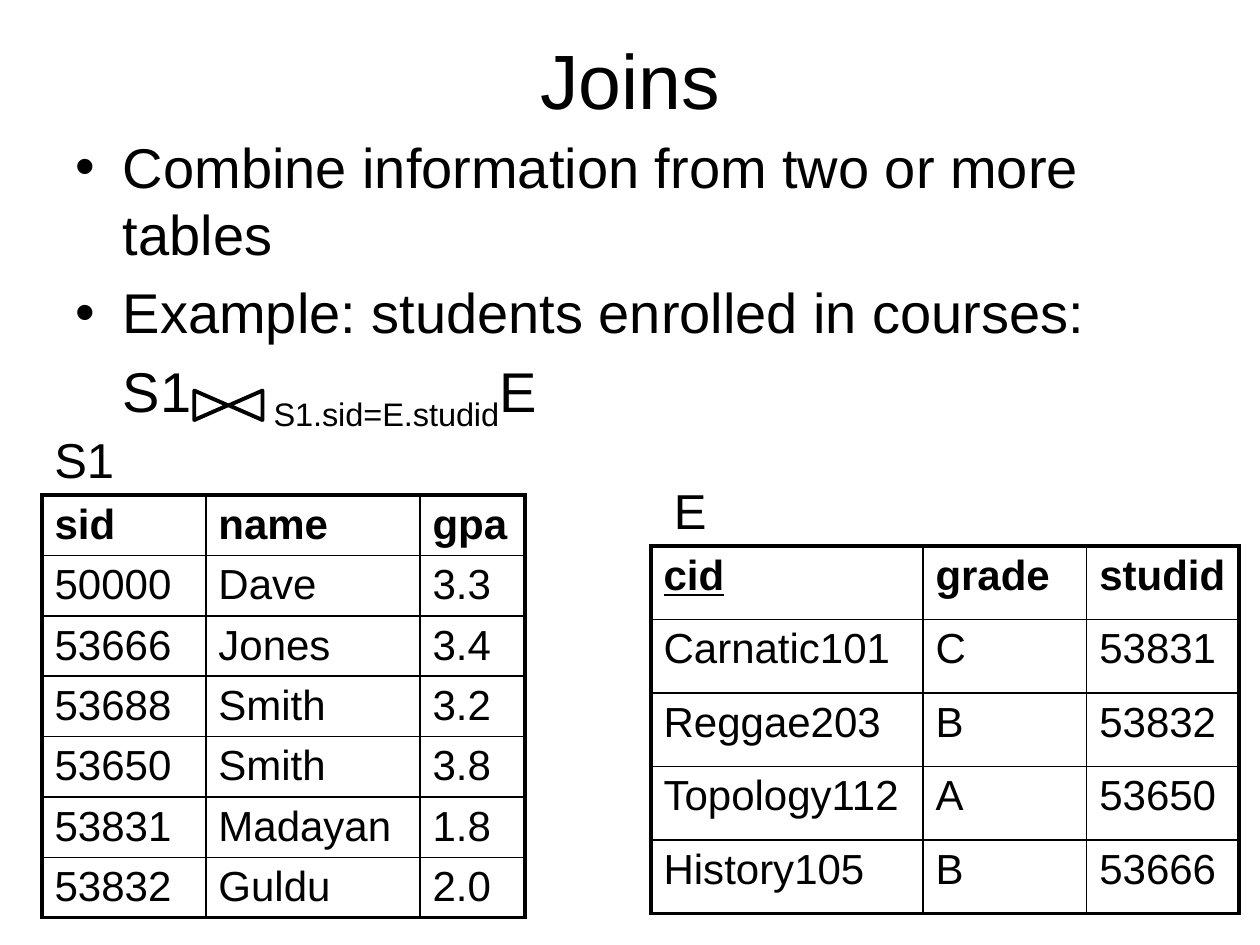
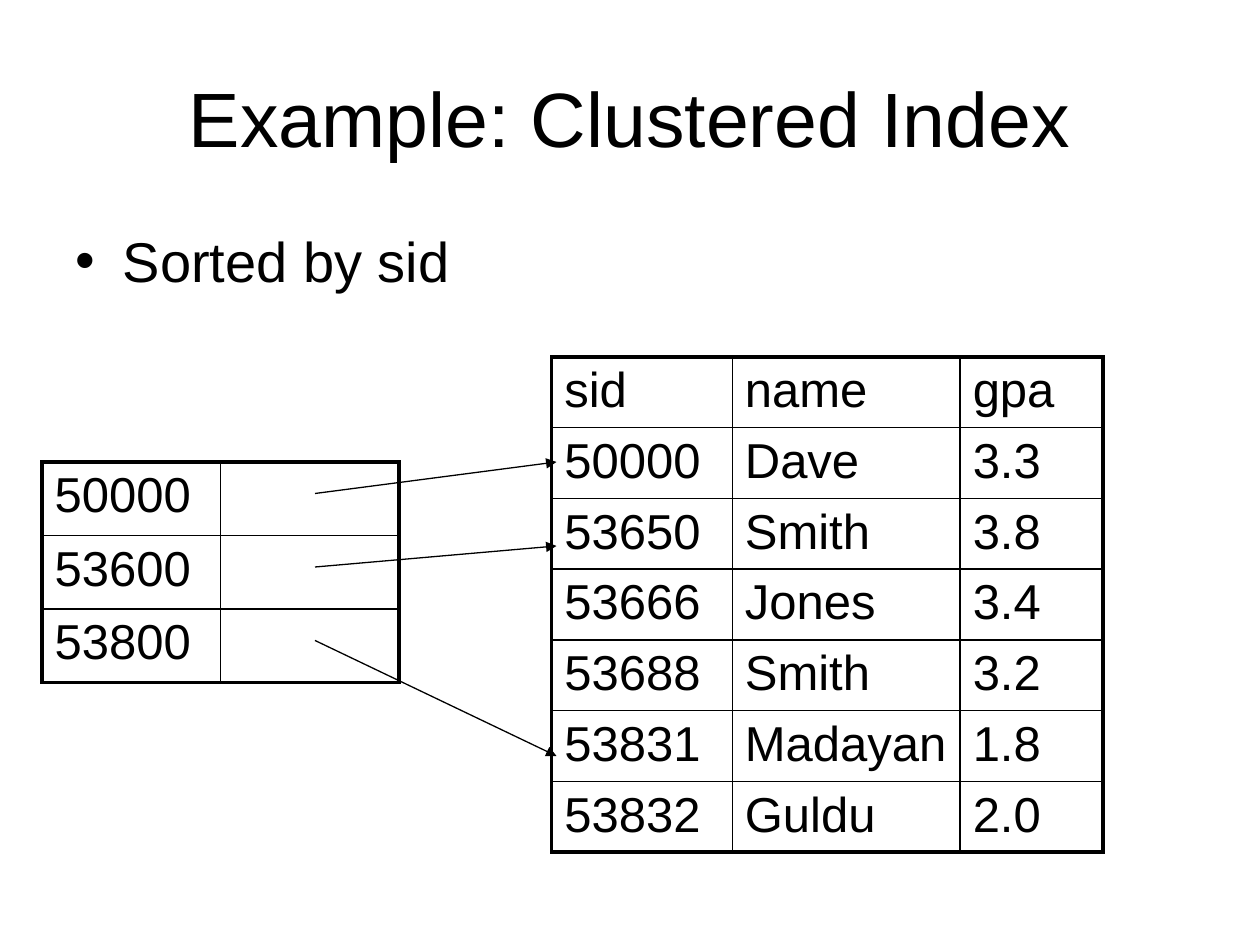
import pptx
import pptx.util
import pptx.dml.color
import pptx.enum.shapes
import pptx.enum.text
import pptx.oxml.ns
from lxml import etree

INK = pptx.dml.color.RGBColor(0x00, 0x00, 0x00)
FONT = "Arial"
TITLE_SIZE, BODY_SIZE, LABEL_SIZE = 44, 32, 28
FRAME, RULE = 2.25, 1  # table line widths in points

deck = pptx.Presentation()
deck.slide_width = pptx.util.Inches(10)
deck.slide_height = pptx.util.Inches(7.5)
UNIT = deck.slide_width / 120  # the slide is a grid of 120 columns by 90 rows
qn = pptx.oxml.ns.qn


def format_text(frame, size, bold=False):
    for paragraph in frame.paragraphs:
        for run in paragraph.runs:
            run.font.name = FONT
            run.font.size = pptx.util.Pt(size)
            run.font.bold = bold
            run.font.color.rgb = INK


def add_records(slide, left, top, columns, row_height, records, size, bold_header=False):
    last_row, last_column = len(records) - 1, len(columns) - 1
    box = [int(n * UNIT) for n in (left, top, sum(columns), row_height * len(records))]
    table = slide.shapes.add_table(len(records), len(columns), *box).table
    table.first_row = table.horz_banding = False
    for column, width in zip(table.columns, columns):
        column.width = int(width * UNIT)
    for r, record in enumerate(records):
        table.rows[r].height = int(row_height * UNIT)
        for c, value in enumerate(record):
            cell = table.cell(r, c)
            cell.text_frame.text = value
            format_text(cell.text_frame, size, bold_header and r == 0)
            cell.fill.background()
            # Thick line on the outer frame, thin line inside
            on_frame = {"L": c == 0, "R": c == last_column, "T": r == 0, "B": r == last_row}
            for place, (side, outer) in enumerate(on_frame.items()):
                width = pptx.util.Pt(FRAME if outer else RULE)
                border = etree.Element(qn("a:ln" + side), w=str(int(width)))
                fill = etree.SubElement(border, qn("a:solidFill"))
                etree.SubElement(fill, qn("a:srgbClr"), val=str(INK))
                cell._tc.get_or_add_tcPr().insert(place, border)
    return table


# Titles and bullet lists of both slides
outline = [
    ("Joins", 0, 12, 34, ["Combine information from two or more tables",
                          "Example: students enrolled in courses:"]),
    ("Example: Clustered Index", 3.6, 21, 59.4, ["Sorted by sid"]),
]
slides = []
for heading, title_top, body_top, body_height, points in outline:
    slide = deck.slides.add_slide(deck.slide_layouts[1])
    title, body = slide.placeholders
    title.text_frame.text = heading
    body.text_frame.text = "\n".join(points)
    for holder, top, height, size in ((title, title_top, 15, TITLE_SIZE),
                                      (body, body_top, body_height, BODY_SIZE)):
        holder.left, holder.top = int(6 * UNIT), int(top * UNIT)
        holder.width, holder.height = int(108 * UNIT), int(height * UNIT)
        holder.text_frame.auto_size = pptx.enum.text.MSO_AUTO_SIZE.NONE
        format_text(holder.text_frame, size)
    body.text_frame.paragraphs[0].space_before = pptx.util.Pt(0)
    slides.append(slide)
joins, clustered = slides

# Joins: the expression, with one widened space that holds the join sign
body_frame = joins.placeholders[1].text_frame
expression = body_frame.add_paragraph()
settings = expression._p.get_or_add_pPr()
settings.set("marL", str(int(4.5 * UNIT)))
settings.set("indent", "0")
etree.SubElement(settings, qn("a:buNone"))
for part in ("S1", " ", "S1.sid=E.studid", "E"):
    expression.add_run().text = part
format_text(body_frame, BODY_SIZE)
expression.runs[1].font._element.set("spc", "3800")
expression.runs[2].font._element.set("baseline", "-25000")

# Joins: the join sign, two triangles tip to tip
join_sign = joins.shapes.add_group_shape()
for left, turn in ((18.7, 90), (22, 270)):
    triangle = join_sign.shapes.add_shape(
        pptx.enum.shapes.MSO_SHAPE.ISOSCELES_TRIANGLE,
        *[int(n * UNIT) for n in (left, 37, 2.8, 3.2)])
    triangle.rotation = turn
    triangle.shadow.inherit = False
    triangle.fill.background()
    triangle.line.color.rgb = INK
    triangle.line.width = pptx.util.Pt(FRAME)

# Joins: the two tables
header = ("sid", "name", "gpa")
dave, jones = ("50000", "Dave", "3.3"), ("53666", "Jones", "3.4")
smith_b, smith_a = ("53688", "Smith", "3.2"), ("53650", "Smith", "3.8")
madayan, guldu = ("53831", "Madayan", "1.8"), ("53832", "Guldu", "2.0")
students = [dave, jones, smith_b, smith_a, madayan, guldu]
enrolled = [
    ("cid", "grade", "studid"),
    ("Carnatic101", "C", "53831"),
    ("Reggae203", "B", "53832"),
    ("Topology112", "A", "53650"),
    ("History105", "B", "53666"),
]
add_records(joins, 4, 47.15, (15.6, 20.4, 10), 5.75, [header] + students, 24, True)
enrolment = add_records(joins, 62, 52, (25.9, 15.6, 14.5), 7, enrolled, 24, True)
enrolment.cell(0, 0).text_frame.paragraphs[0].runs[0].font.underline = True

# Joins: table names
for name, left, top, width in (("S1", 4, 40.3, 8.2), ("E", 63, 45.2, 5.5)):
    label = joins.shapes.add_textbox(*[int(n * UNIT) for n in (left, top, width, 6.8)])
    label.text_frame.text = name
    label.text_frame.word_wrap = False
    format_text(label.text_frame, LABEL_SIZE)

# Clustered index: records sorted by sid, and the index entries
add_records(clustered, 52.55, 34, (17.2, 21.7, 13.6), 6.74,
            [header] + sorted(students), LABEL_SIZE)
add_records(clustered, 4, 44, (17, 17), 7,
            [(key, "") for key in ("50000", "53600", "53800")], LABEL_SIZE)

# Clustered index: arrows from each entry to its first record
for entry, record_row in enumerate((44, 52, 72)):
    pointer = clustered.shapes.add_connector(
        pptx.enum.shapes.MSO_CONNECTOR.STRAIGHT,
        *[int(n * UNIT) for n in (30, 47 + 7 * entry, 53, record_row)])
    pointer.line.color.rgb = INK
    pointer.line.width = pptx.util.Pt(0.75)
    etree.SubElement(pointer.line._get_or_add_ln(), qn("a:tailEnd"), type="triangle")
    etree.SubElement(pointer._element.spPr, qn("a:effectLst"))

deck.save("out.pptx")
